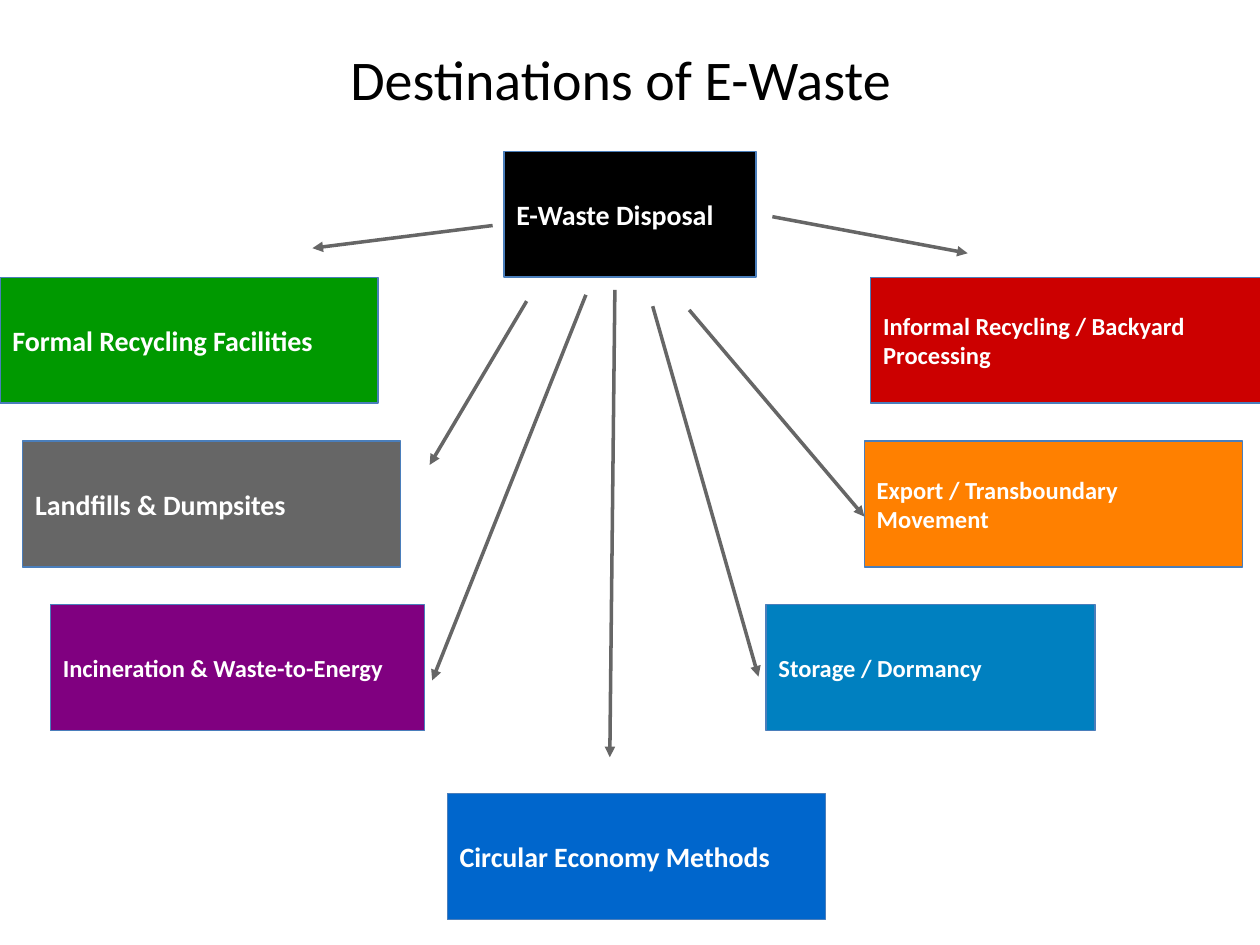
from pptx import Presentation
from pptx import util as u
from pptx.dml.color import RGBColor
from pptx.enum import shapes, text
from pptx.oxml.ns import qn
from lxml import etree

FONT = "Calibri"
COLORS = {
    "black": "000000", "white": "FFFFFF", "outline": "4A7EBB",
    "green": "009900", "gray": "666666", "purple": "800080",
    "red": "CC0000", "orange": "FF8000", "cyan": "0080C0", "blue": "0066CC",
}
TITLE = "Destinations of E-Waste"
BOX_HEIGHT = 1
ROW_TOPS = {"source": 1.2, "first": 2.2, "second": 3.5, "third": 4.8, "last": 6.3}
BOXES = [
    ("E-Waste Disposal", "source", 4, 2, "black", 16),
    ("Formal Recycling Facilities", "first", 0, 3, "green", 16),
    ("Landfills & Dumpsites", "second", 0.18, 3, "gray", 16),
    ("Incineration & Waste-to-Energy", "third", 0.4, 2.97, "purple", 14),
    ("Informal Recycling / Backyard Processing", "first", 6.91, 3.28, "red", 14),
    ("Export / Transboundary Movement", "second", 6.86, 3, "orange", 14),
    ("Storage / Dormancy", "third", 6.08, 2.61, "cyan", 14),
    ("Circular Economy Methods", "last", 3.55, 3, "blue", 16),
]
ARROWS = [
    ((3.91, 1.79), (2.48, 1.97)),
    ((4.18, 2.39), (3.41, 3.69)),
    ((4.65, 2.34), (3.43, 5.4)),
    ((4.88, 2.3), (4.84, 6.01)),
    ((5.18, 2.43), (6.02, 5.37)),
    ((5.47, 2.46), (6.86, 4.1)),
    ((6.13, 1.72), (7.68, 2.01)),
]


def color(name):
    return RGBColor.from_string(COLORS[name])


def write(shape, words, size, color_name, bold=False):
    frame = shape.text_frame
    frame.text = words
    para = frame.paragraphs[0]
    para.alignment = text.PP_ALIGN.LEFT
    font = para.runs[0].font
    font.name, font.size, font.bold = FONT, u.Pt(size), bold
    font.color.rgb = color(color_name)
    return frame


def add_title(page):
    title = page.shapes.title
    title.left, title.top = u.Inches(2.68), u.Inches(0.3)
    title.width, title.height = u.Inches(4.91), u.Inches(0.63)
    frame = write(title, TITLE, 32, "black")
    frame.word_wrap = False
    frame.auto_size = text.MSO_AUTO_SIZE.SHAPE_TO_FIT_TEXT
    frame.vertical_anchor = text.MSO_ANCHOR.TOP


def add_box(page, words, row, left, width, fill, size):
    box = page.shapes.add_shape(
        shapes.MSO_SHAPE.RECTANGLE, u.Inches(left), u.Inches(ROW_TOPS[row]),
        u.Inches(width), u.Inches(BOX_HEIGHT))
    box.shadow.inherit = False
    box.fill.solid()
    box.fill.fore_color.rgb = color(fill)
    box.line.color.rgb = color("outline")
    box.line.width = u.Pt(0.75)
    frame = write(box, words, size, "white", bold=True)
    frame.word_wrap = True
    frame.vertical_anchor = text.MSO_ANCHOR.MIDDLE


def add_arrow(page, start, end):
    arrow = page.shapes.add_connector(
        shapes.MSO_CONNECTOR.STRAIGHT, *map(u.Inches, start + end))
    arrow.line.color.rgb = color("gray")
    arrow.line.width = u.Pt(2)
    properties = arrow.element.spPr
    etree.SubElement(properties.find(qn("a:ln")), qn("a:tailEnd"), type="triangle")
    etree.SubElement(properties, qn("a:effectLst"))


def main():
    deck = Presentation()
    deck.slide_width, deck.slide_height = u.Inches(10), u.Inches(7.5)
    page = deck.slides.add_slide(deck.slide_layouts.get_by_name("Title Only"))
    add_title(page)
    for box in BOXES:
        add_box(page, *box)
    for start, end in ARROWS:
        add_arrow(page, start, end)
    deck.save("out.pptx")


if __name__ == "__main__":
    main()
